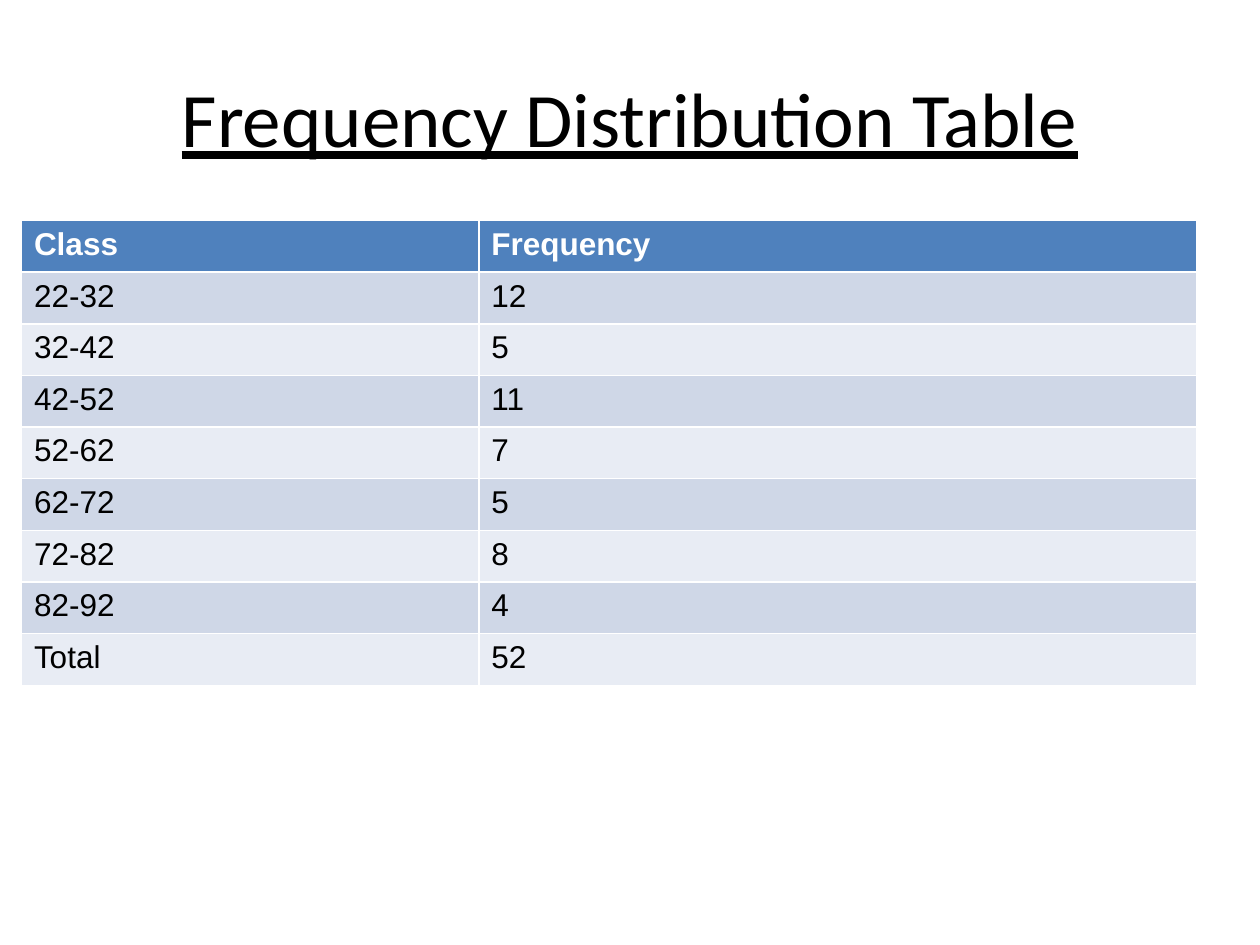
from pptx import Presentation
from pptx.dml.color import RGBColor
from pptx.enum.text import MSO_ANCHOR, PP_ALIGN
from pptx.util import Inches, Pt

BLACK = RGBColor(0x00, 0x00, 0x00)
WHITE = RGBColor(0xFF, 0xFF, 0xFF)
HEADER_BLUE = RGBColor(0x4F, 0x81, 0xBD)
BANDS = (RGBColor(0xE8, 0xEC, 0xF4), RGBColor(0xCF, 0xD7, 0xE7))

TITLE_FORMAT = {"name": "Calibri", "size": Pt(44), "underline": True}
HEADER_FORMAT = {"name": "Arial", "size": Pt(18), "bold": True}
BODY_FORMAT = {"name": "Arial", "size": Pt(18), "bold": False}

FREQUENCIES = [
    ("Class", "Frequency"),
    ("22-32", "12"),
    ("32-42", "5"),
    ("42-52", "11"),
    ("52-62", "7"),
    ("62-72", "5"),
    ("72-82", "8"),
    ("82-92", "4"),
    ("Total", "52"),
]
COLUMN_WIDTHS = (3.63, 5.7)
ROW_HEIGHT = 0.41


def write(paragraph, text, color, formats):
    run = paragraph.add_run()
    run.text = text
    run.font.color.rgb = color
    for attribute, value in formats.items():
        setattr(run.font, attribute, value)


prs = Presentation()
prs.slide_width = Inches(10)
prs.slide_height = Inches(7.5)
slide = prs.slides.add_slide(prs.slide_layouts[6])

title = slide.shapes.add_textbox(Inches(0.5), Inches(0.3), Inches(9), Inches(1.25)).text_frame
title.word_wrap = True
title.vertical_anchor = MSO_ANCHOR.MIDDLE
title.paragraphs[0].alignment = PP_ALIGN.CENTER
write(title.paragraphs[0], "Frequency Distribution Table", BLACK, TITLE_FORMAT)

distribution = slide.shapes.add_table(
    len(FREQUENCIES), len(COLUMN_WIDTHS), Inches(0.17), Inches(1.75),
    Inches(sum(COLUMN_WIDTHS)), Inches(ROW_HEIGHT * len(FREQUENCIES)),
).table
for column, width in zip(distribution.columns, COLUMN_WIDTHS):
    column.width = Inches(width)

for row_number, entries in enumerate(FREQUENCIES):
    distribution.rows[row_number].height = Inches(ROW_HEIGHT)
    is_header = row_number == 0
    for column_number, entry in enumerate(entries):
        cell = distribution.cell(row_number, column_number)
        cell.fill.solid()
        cell.fill.fore_color.rgb = HEADER_BLUE if is_header else BANDS[row_number % 2]
        write(cell.text_frame.paragraphs[0], entry,
              WHITE if is_header else BLACK,
              HEADER_FORMAT if is_header else BODY_FORMAT)

prs.save("out.pptx")
